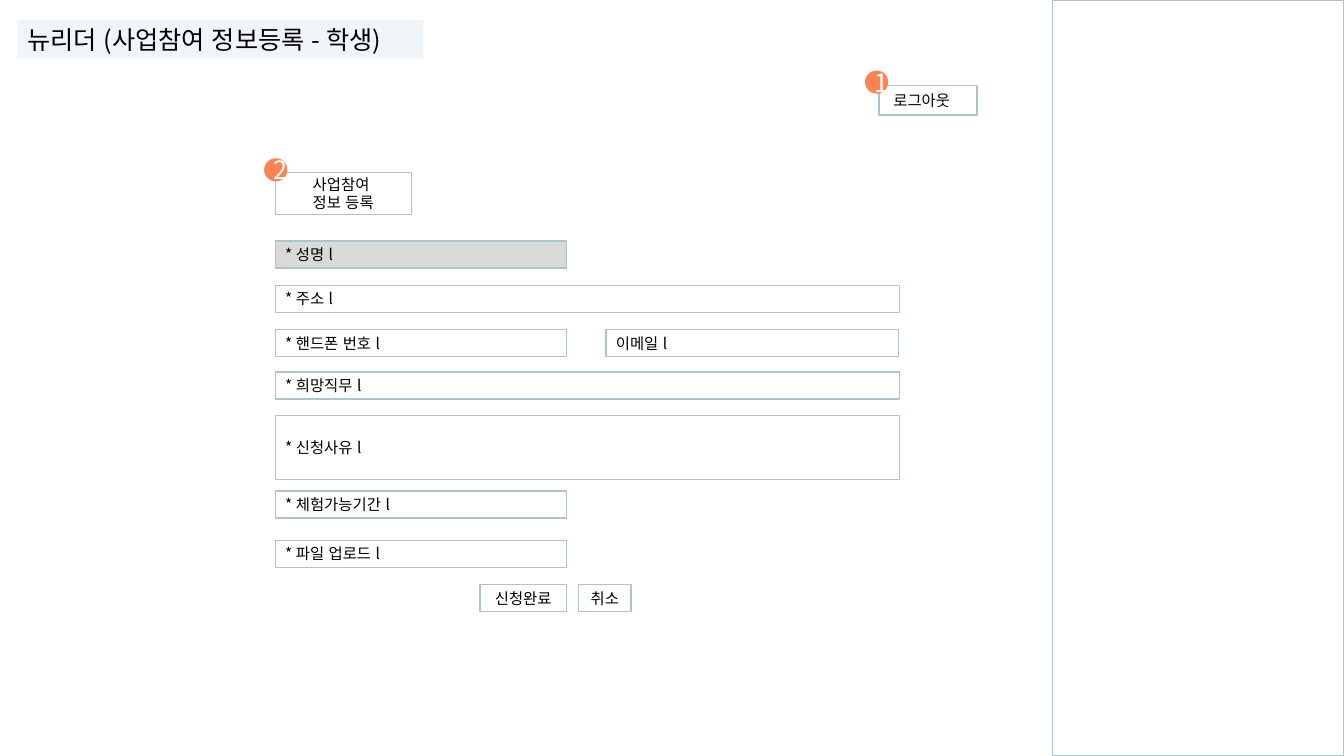
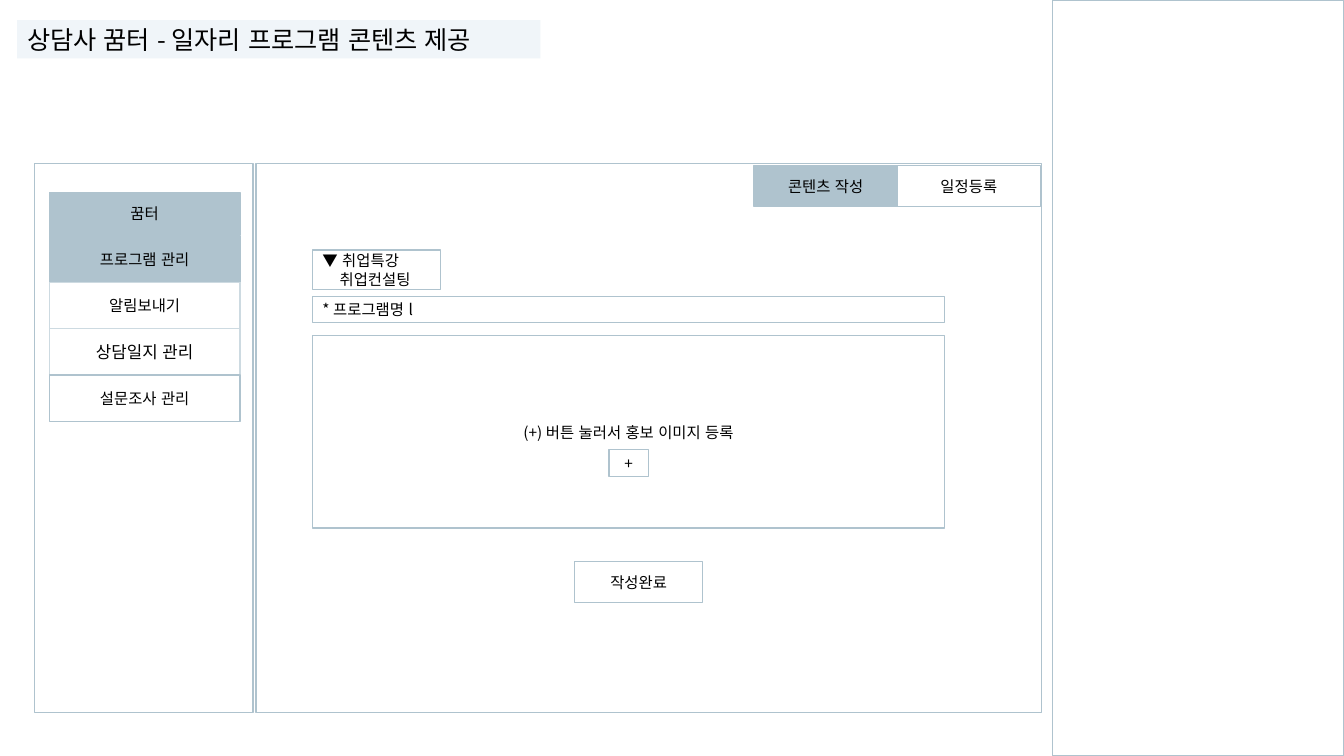
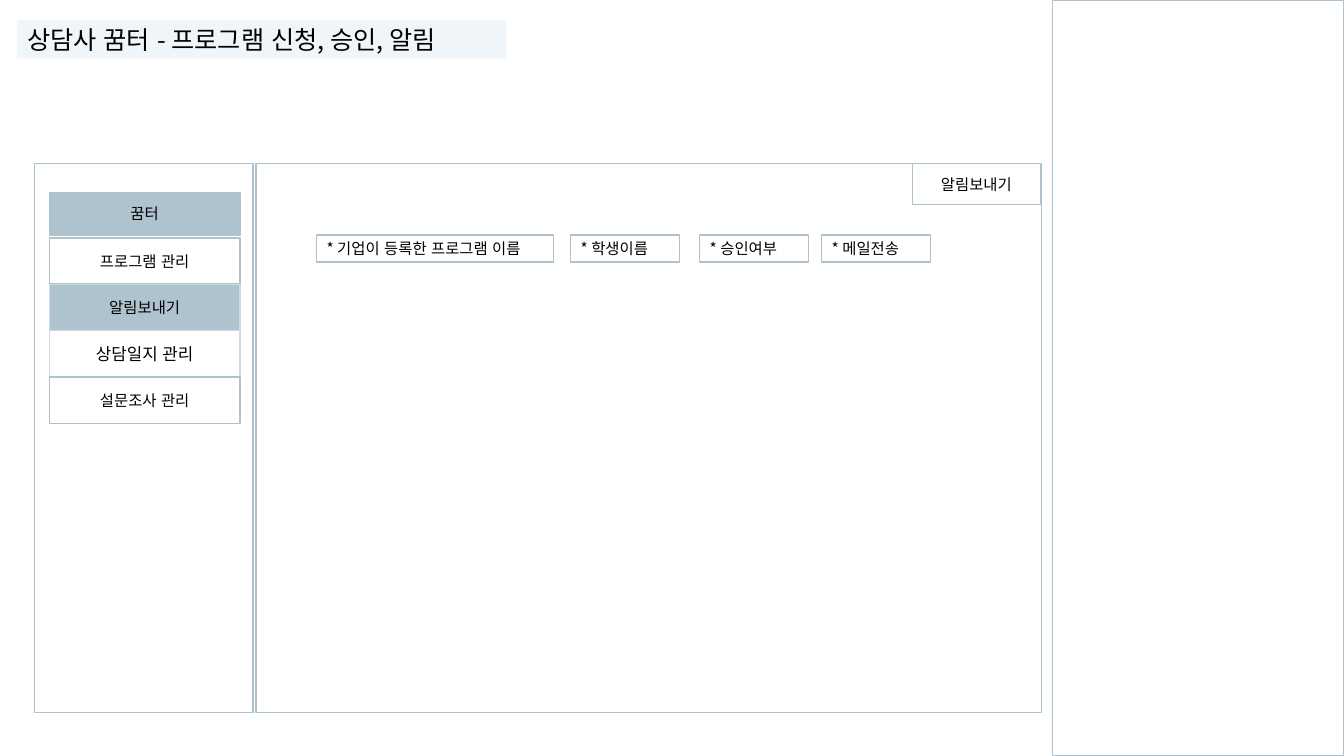
"""Build three wireframe slides for a job programme site."""
from dataclasses import dataclass
from typing import NamedTuple, Optional

from lxml.etree import SubElement
from pptx import Presentation
from pptx.dml.color import RGBColor
from pptx.enum.lang import MSO_LANGUAGE_ID
from pptx.enum.shapes import MSO_SHAPE
from pptx.enum.text import MSO_ANCHOR, PP_ALIGN
from pptx.oxml.ns import qn
from pptx.util import Inches, Pt


@dataclass(frozen=True)
class Theme:
    font: str = "Noto Sans CJK KR"
    ink: str = "000000"
    white: str = "FFFFFF"
    edge: str = "AFC3CE"
    pale: str = "CDDAE1"
    band: str = "F0F5F9"
    gray: str = "D9D9D9"
    badge: str = "FC8453"
    head: int = 18
    mid: int = 12
    body: int = 11
    rule: int = 1


THEME = Theme()
LEFT, MID = PP_ALIGN.LEFT, PP_ALIGN.CENTER


class Box(NamedTuple):
    left: float
    top: float
    width: float
    height: float
    text: str = ""
    align: PP_ALIGN = LEFT
    fill: Optional[str] = None
    line: Optional[str] = THEME.edge
    size: int = THEME.body
    color: str = THEME.ink
    inset: float = 0.1
    indent: float = 0
    form: MSO_SHAPE = MSO_SHAPE.RECTANGLE


class Item(NamedTuple):
    text: str
    line: str = THEME.edge
    size: int = THEME.body


MENU = (
    Item("프로그램 관리"),
    Item("알림보내기", THEME.pale),
    Item("상담일지 관리", THEME.pale, THEME.mid),
    Item("설문조사 관리"),
)


def write(shape, text: str, *, size: int, color: str, align: PP_ALIGN,
          inset: float, indent: float) -> None:
    """Fill a shape with text; later paragraphs take the indent."""
    frame = shape.text_frame
    frame.word_wrap = True
    frame.vertical_anchor = MSO_ANCHOR.MIDDLE
    frame.margin_left = Inches(inset)
    frame.text = text
    for count, para in enumerate(frame.paragraphs):
        para.alignment = align
        if count and indent:
            para._p.get_or_add_pPr().set("marL", str(Inches(indent)))
        for run in para.runs:
            font = run.font
            font.size = Pt(size)
            font.color.rgb = RGBColor.from_string(color)
            font.name = THEME.font
            font.language_id = MSO_LANGUAGE_ID.KOREAN
            SubElement(run._r.get_or_add_rPr(), qn("a:ea"), typeface=THEME.font)


def draw(slide, box: Box) -> None:
    """Draw one box with its fill, line and text."""
    place = (Inches(value) for value in box[:4])
    shape = slide.shapes.add_shape(box.form, *place)
    shape.shadow.inherit = False
    if box.fill:
        shape.fill.solid()
        shape.fill.fore_color.rgb = RGBColor.from_string(box.fill)
    else:
        shape.fill.background()
    if box.line:
        shape.line.color.rgb = RGBColor.from_string(box.line)
        shape.line.width = Pt(THEME.rule)
    else:
        shape.line.fill.background()
    if box.text:
        write(shape, box.text, size=box.size, color=box.color,
              align=box.align, inset=box.inset, indent=box.indent)


def badge(left: float, top: float, text: str) -> Box:
    """Return a round number mark."""
    return Box(left, top, 0.23, 0.23, text, MID, THEME.badge, None,
               THEME.head, THEME.white, form=MSO_SHAPE.OVAL)


def start(deck, title: str, width: float):
    """Add a slide with its title band and right-hand note panel."""
    slide = deck.slides.add_slide(deck.slide_layouts[6])
    draw(slide, Box(10.44, 0, 2.89, 7.5))
    draw(slide, Box(0.17, 0.2, width, 0.38, title, fill=THEME.band,
                    line=None, size=THEME.head))
    return slide


def panels(slide, top: float, chosen: str) -> None:
    """Draw the main panel and the side menu with one item chosen."""
    draw(slide, Box(2.54, 1.62, 7.79, 5.45))
    draw(slide, Box(0.34, 1.62, 2.17, 5.45))
    draw(slide, Box(0.49, 1.91, 1.89, 0.42, "꿈터", MID, THEME.edge))
    step = 0.46
    for row, item in enumerate(MENU):
        fill = THEME.edge if item.text == chosen else None
        draw(slide, Box(0.49, top + row * step, 1.89, step, item.text, MID,
                        fill, item.line, item.size))


def entry(deck) -> None:
    """Build the student sign-up form."""
    slide = start(deck, "뉴리더 (사업참여 정보등록 - 학생)", 4.03)
    left, half, full, high = 2.73, 2.89, 6.19, 0.27
    boxes = (
        Box(8.72, 0.85, 0.97, 0.29, "로그아웃", inset=0.14),
        badge(8.58, 0.7, "1"),
        Box(left, 1.71, 1.35, 0.42, "사업참여 \n정보 등록", MID),
        badge(2.62, 1.57, "2"),
        Box(left, 2.39, half, high, "* 성명 l", fill=THEME.gray),
        Box(left, 2.83, full, high, "* 주소 l"),
        Box(left, 3.27, half, high, "* 핸드폰 번호 l"),
        Box(6.01, 3.27, 2.9, high, "이메일 l"),
        Box(left, 3.69, full, high, "* 희망직무 l"),
        Box(left, 4.12, full, 0.64, "* 신청사유 l"),
        Box(left, 4.87, half, high, "* 체험가능기간 l"),
        Box(left, 5.36, half, high, "* 파일 업로드 l"),
        Box(4.76, 5.8, 0.86, high, "신청완료", MID),
        Box(5.74, 5.8, 0.52, high, "취소", MID),
    )
    for box in boxes:
        draw(slide, box)


def content(deck) -> None:
    """Build the programme content editor."""
    slide = start(deck, "상담사 꿈터 - 일자리 프로그램 콘텐츠 제공", 5.19)
    panels(slide, 2.34, "프로그램 관리")
    left, full = 3.1, 6.27
    boxes = (
        Box(left, 2.48, 1.27, 0.39, "▼ 취업특강\n취업컨설팅", indent=0.17),
        Box(left, 2.94, full, 0.26, "* 프로그램명 l"),
        Box(left, 3.33, full, 1.91, "(+) 버튼 눌러서 홍보 이미지 등록", MID),
        Box(6.04, 4.46, 0.39, 0.27, "+", MID),
        Box(5.7, 5.57, 1.27, 0.41, "작성완료", MID),
        Box(8.9, 1.64, 1.42, 0.41, "일정등록", MID),
        Box(7.48, 1.64, 1.42, 0.41, "콘텐츠 작성", MID, THEME.edge),
    )
    for box in boxes:
        draw(slide, box)


def notice(deck) -> None:
    """Build the approval and notice list."""
    slide = start(deck, "상담사 꿈터 - 프로그램 신청, 승인, 알림", 4.85)
    panels(slide, 2.36, "알림보내기")
    draw(slide, Box(9.05, 1.62, 1.27, 0.41, "알림보내기", MID))
    heads = (
        (3.14, 2.35, "* 기업이 등록한 프로그램 이름"),
        (5.66, 1.08, "* 학생이름"),
        (6.94, 1.08, "* 승인여부"),
        (8.15, 1.08, "* 메일전송"),
    )
    for left, width, text in heads:
        draw(slide, Box(left, 2.33, width, 0.27, text))


def main() -> None:
    """Build and save the deck."""
    deck = Presentation()
    deck.slide_width, deck.slide_height = Inches(13.33), Inches(7.5)
    for build in (entry, content, notice):
        build(deck)
    deck.save("out.pptx")


if __name__ == "__main__":
    main()
